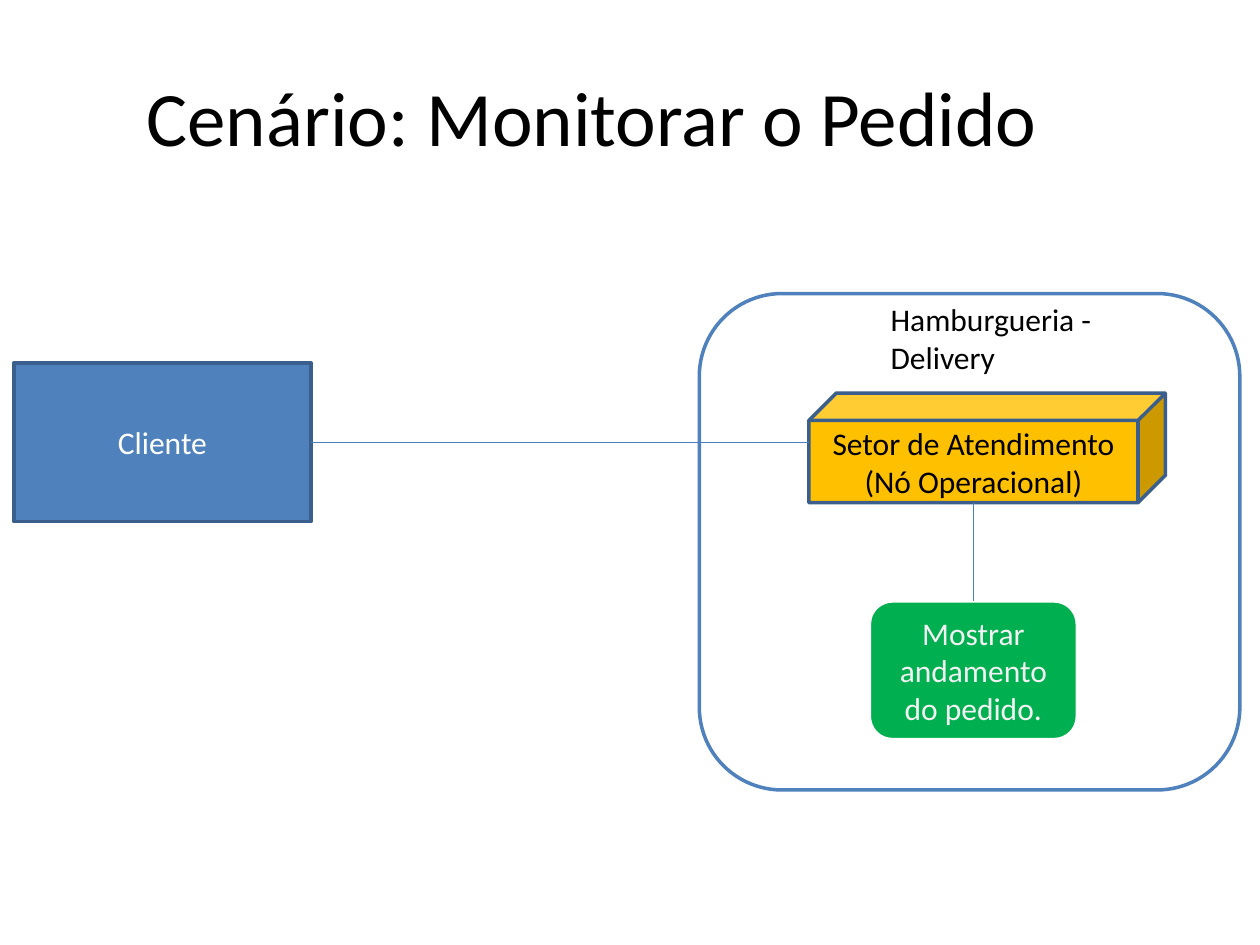
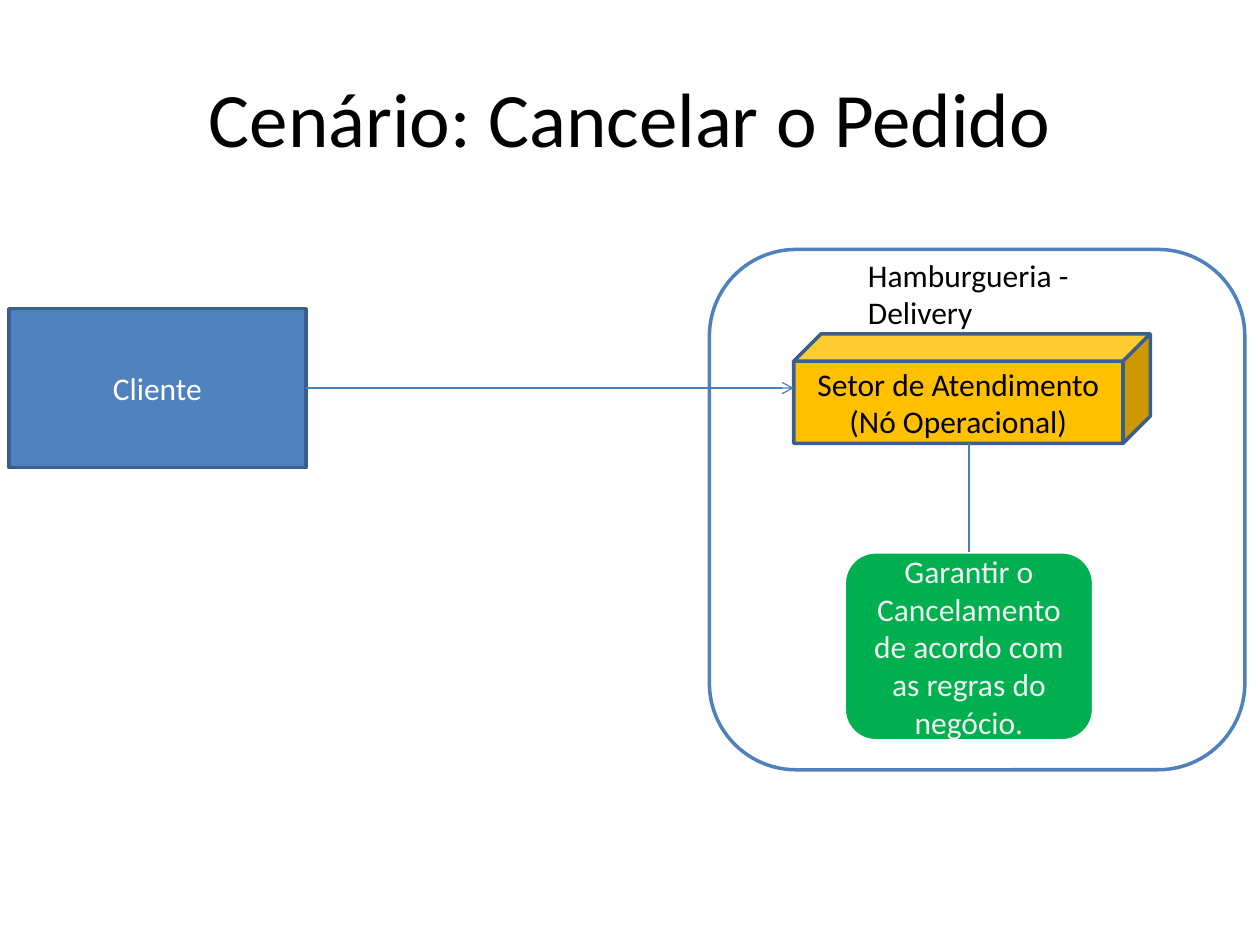
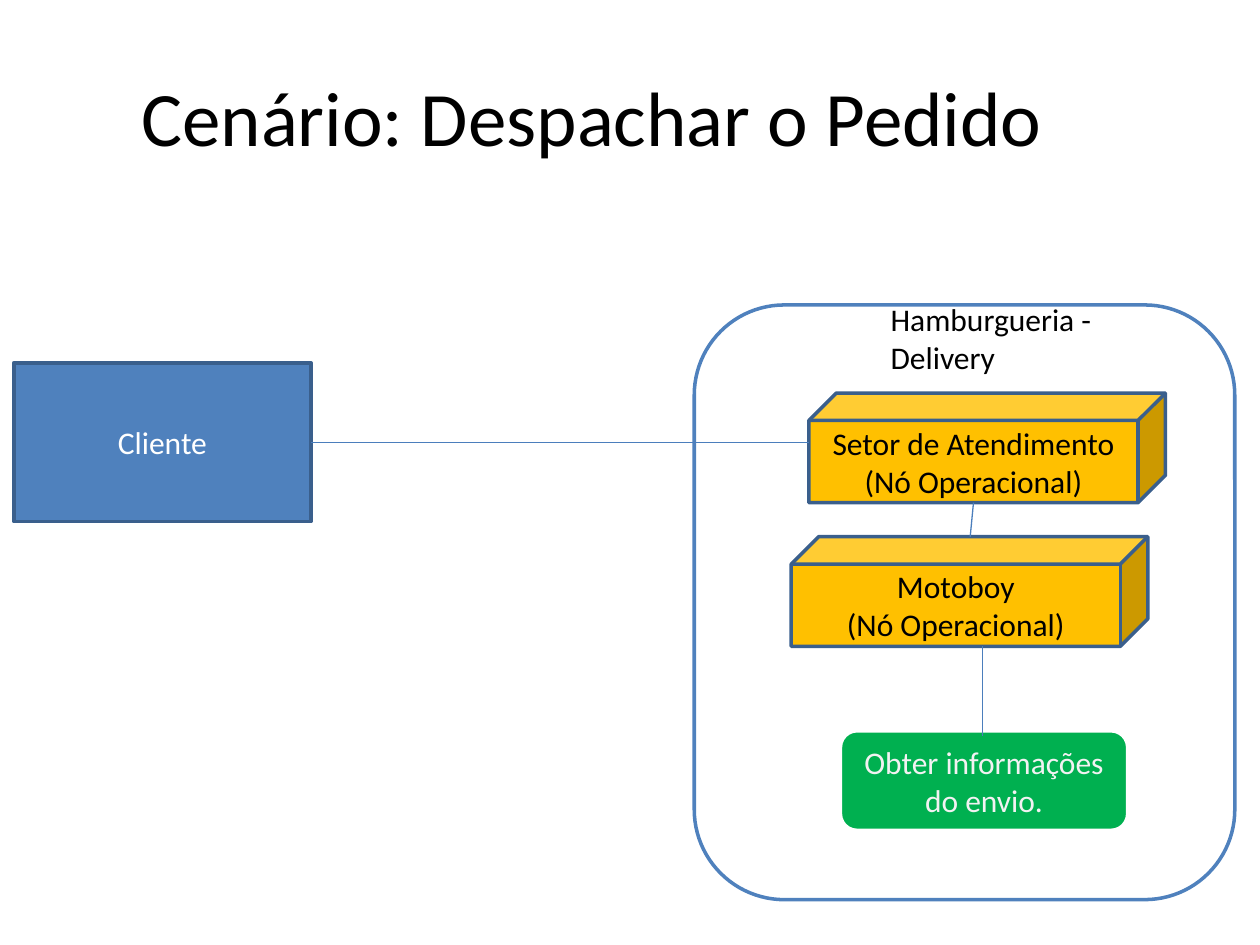
from pptx import Presentation
from pptx.dml.color import RGBColor
from pptx.enum.shapes import MSO_CONNECTOR, MSO_SHAPE
from pptx.enum.text import MSO_ANCHOR, MSO_AUTO_SIZE, PP_ALIGN
from pptx.oxml.ns import qn
from pptx.util import Inches, Pt
from lxml import etree

FONT = "Calibri"
BLACK, WHITE, PALE = "000000", "FFFFFF", "F2F2F2"
BLUE, EDGE, WIRE = "4F81BD", "3A5F8C", "4B7EBC"
AMBER, GREEN = "FFC000", "00B050"
CLIENT_W, CLIENT_H = 2.36, 1.26
NODE_W, NODE_H = 2.83, 0.87
NODE_DEPTH = NODE_H / 4
SERVICE = "Setor de Atendimento"


def rgb(color):
    """Turn a hex string into a colour."""
    return RGBColor.from_string(color)


def write(tf, text, size, color, align):
    """Put text in a frame and format every run."""
    tf.text = text
    tf.word_wrap = True
    for p in tf.paragraphs:
        p.alignment = align
        for r in p.runs:
            r.font.name = FONT
            r.font.size = Pt(size)
            r.font.color.rgb = rgb(color)


def add_box(slide, kind, box, fill, line, text="", color=WHITE):
    """Draw an outlined preset shape with centred text."""
    sp = slide.shapes.add_shape(kind, *map(Inches, box))
    sp.shadow.inherit = False
    sp.fill.solid()
    sp.fill.fore_color.rgb = rgb(fill)
    sp.line.color.rgb = rgb(line)
    sp.line.width = Pt(2)
    if text:
        sp.text_frame.vertical_anchor = MSO_ANCHOR.MIDDLE
        write(sp.text_frame, text, 18, color, PP_ALIGN.CENTER)


def add_line(slide, start, end, arrow=False):
    """Draw a thin line, with an open arrowhead at its end if wanted."""
    cx = slide.shapes.add_connector(MSO_CONNECTOR.STRAIGHT, *map(Inches, start + end))
    cx.line.color.rgb = rgb(WIRE)
    cx.line.width = Pt(0.75)
    if arrow:
        etree.SubElement(cx.line._get_or_add_ln(), qn("a:tailEnd"), type="arrow")
    etree.SubElement(cx._element.spPr, qn("a:effectLst"))


def add_title(slide, text, left, top):
    """Place and format the slide title."""
    title = slide.shapes.title
    title.left, title.top = Inches(left), Inches(top)
    title.width, title.height = Inches(9), Inches(1.25)
    title.text_frame.vertical_anchor = MSO_ANCHOR.MIDDLE
    write(title.text_frame, text, 44, BLACK, PP_ALIGN.CENTER)


def add_client(slide, left, top):
    """Draw the client and return the middle of its right edge."""
    add_box(slide, MSO_SHAPE.RECTANGLE, (left, top, CLIENT_W, CLIENT_H), BLUE, EDGE, "Cliente")
    return left + CLIENT_W, top + CLIENT_H / 2


def add_company(slide, box, label_left, label_top):
    """Draw the company frame and its label."""
    add_box(slide, MSO_SHAPE.ROUNDED_RECTANGLE, box, WHITE, BLUE)
    label = slide.shapes.add_textbox(*map(Inches, (label_left, label_top, 1.81, 0.71)))
    write(label.text_frame, "Hamburgueria - Delivery", 18, BLACK, PP_ALIGN.LEFT)
    label.text_frame.auto_size = MSO_AUTO_SIZE.SHAPE_TO_FIT_TEXT


def add_node(slide, left, top, name):
    """Draw an operational node and return the foot of its front face."""
    text = name + "\n(Nó Operacional)"
    add_box(slide, MSO_SHAPE.CUBE, (left, top, NODE_W, NODE_H), AMBER, EDGE, text, BLACK)
    return left + (NODE_W - NODE_DEPTH) / 2, top + NODE_H


def add_activity(slide, box, text):
    """Draw an activity."""
    add_box(slide, MSO_SHAPE.ROUNDED_RECTANGLE, box, GREEN, WHITE, text, PALE)


def add_scenario(prs, title, title_at, client_at, company, label_at, node_at, arrow=False):
    """Add a slide with client, company and service node; return it and the node's foot."""
    slide = prs.slides.add_slide(prs.slide_layouts[5])
    add_title(slide, title, *title_at)
    port = add_client(slide, *client_at)
    add_company(slide, company, *label_at)
    foot = add_node(slide, *node_at, SERVICE)
    add_line(slide, port, (node_at[0], port[1]), arrow)
    return slide, foot


def add_monitor(prs):
    """Add the order monitoring scenario."""
    slide, foot = add_scenario(prs, "Cenário: Monitorar o Pedido", (0.2, 0.29), (0.11, 2.88),
                               (5.55, 2.33, 4.29, 3.94), (6.97, 2.33), (6.42, 3.12))
    add_activity(slide, (6.9, 4.77, 1.65, 1.1), "Mostrar andamento do pedido.")
    add_line(slide, (foot[0], 4.77), foot)


def add_cancel(prs):
    """Add the order cancelling scenario."""
    slide, foot = add_scenario(prs, "Cenário: Cancelar o Pedido", (0.5, 0.3), (0.07, 2.45),
                               (5.63, 1.98, 4.25, 4.13), (6.79, 1.98), (6.3, 2.65), True)
    add_activity(slide, (6.7, 4.38, 1.98, 1.5),
                 "Garantir o Cancelamento de acordo com as regras do negócio.")
    add_line(slide, (7.69, 4.38), (7.69, foot[1]))


def add_dispatch(prs):
    """Add the order dispatching scenario."""
    slide, foot = add_scenario(prs, "Cenário: Despachar o Pedido", (0.2, 0.29), (0.11, 2.88),
                               (5.51, 2.42, 4.29, 4.72), (6.97, 2.33), (6.42, 3.12))
    courier_foot = add_node(slide, 6.28, 4.26, "Motoboy")
    add_activity(slide, (6.67, 5.8, 2.28, 0.79), "Obter informações do envio.")
    add_line(slide, (7.8, courier_foot[1]), (7.8, 5.84))
    add_line(slide, foot, (7.7, 4.26))


prs = Presentation()
prs.slide_width, prs.slide_height = Inches(10), Inches(7.5)
add_monitor(prs)
add_cancel(prs)
add_dispatch(prs)
prs.save("out.pptx")
